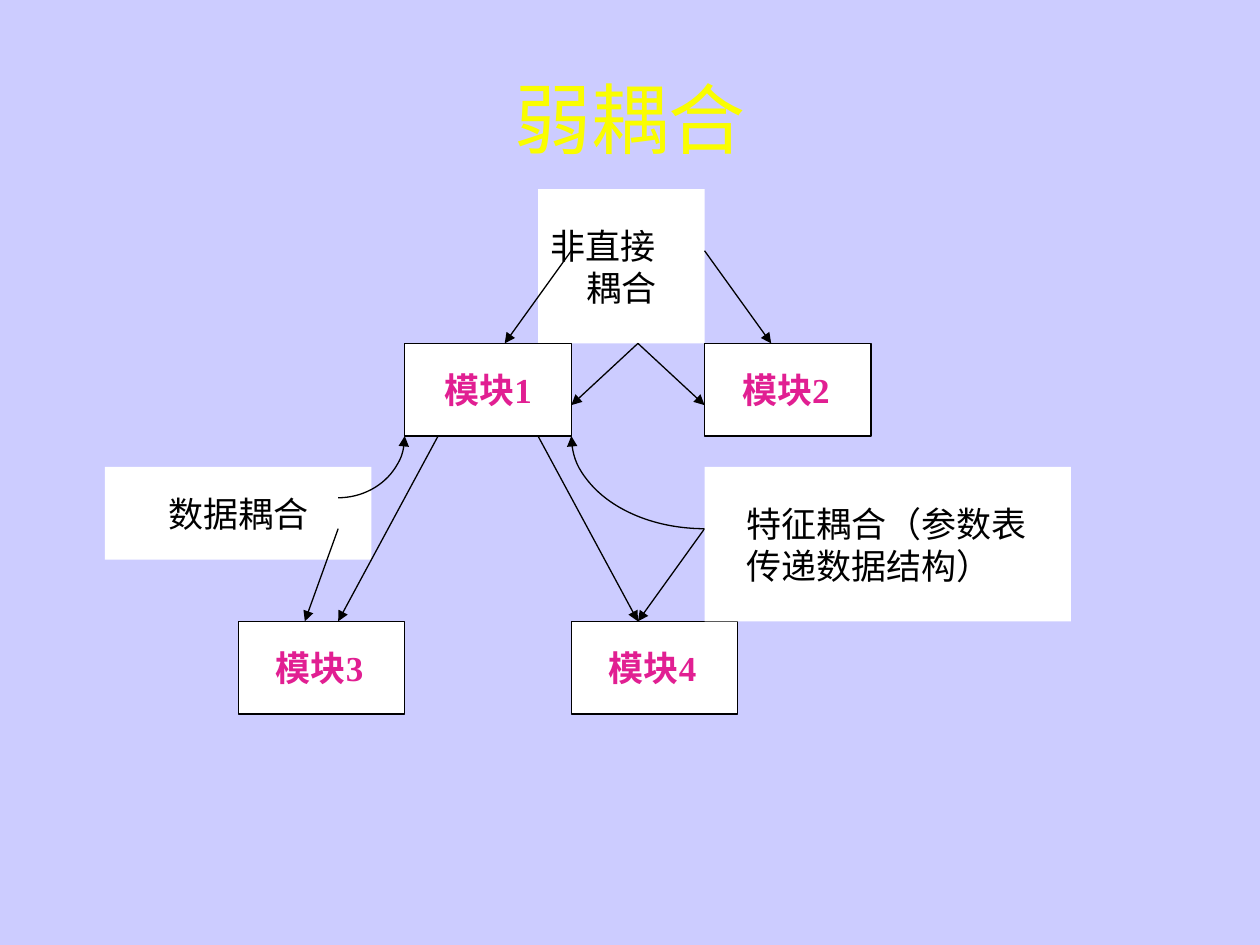
from dataclasses import dataclass

from lxml.etree import SubElement
from pptx import Presentation
from pptx.dml.color import RGBColor
from pptx.enum.shapes import MSO_CONNECTOR as Connector, MSO_SHAPE as Shape
from pptx.enum.text import MSO_ANCHOR as Anchor, PP_ALIGN as Align
from pptx.oxml.ns import qn
from pptx.util import Pt


@dataclass(frozen=True)
class Theme:
    """Colours, fonts and type sizes of the slide."""
    background: RGBColor = RGBColor(0xCC, 0xCC, 0xFF)
    title: RGBColor = RGBColor(0xFA, 0xFD, 0x00)
    module: RGBColor = RGBColor(0xE1, 0x1F, 0x92)
    ink: RGBColor = RGBColor(0, 0, 0)
    paper: RGBColor = RGBColor(0xFF, 0xFF, 0xFF)
    title_font: str = "Noto Sans CJK SC"
    body_font: str = "Times New Roman"
    title_size: int = 44
    body_size: int = 20
    leading: int = 24
    line_width: float = 0.75


THEME = Theme()
COLUMNS, ROWS = 29, 17
MODULES = [
    ("模块2", 18, 5, Align.JUSTIFY, 14.3),
    ("模块1", 9, 5, Align.CENTER, 0),
    ("模块4", 14, 14, Align.JUSTIFY, 14.3),
    ("模块3", 4, 14, Align.JUSTIFY, 14.3),
]
ARROWS = [
    ((14, 2), (12, 5)), ((18, 2), (20, 5)),
    ((16, 5), (14, 7)), ((16, 5), (18, 7)),
    ((10, 8), (7, 14)), ((13, 8), (16, 14)),
    ((7, 11), (6, 14)), ((18, 11), (16, 14)),
]


@dataclass(frozen=True)
class Grid:
    """Even grid of columns and rows inside a box given in points."""
    left: float
    top: float
    width: float
    height: float

    def point(self, column, row):
        """Return the position of a grid crossing."""
        return (Pt(self.left + column * self.width / COLUMNS),
                Pt(self.top + row * self.height / ROWS))

    def area(self, column, row, columns, rows):
        """Return left, top, width and height of a block of cells."""
        return (*self.point(column, row),
                Pt(columns * self.width / COLUMNS), Pt(rows * self.height / ROWS))


def add_title(page, text, left, top, width, height):
    """Place and format the title placeholder."""
    title = page.shapes.title
    title.left, title.top, title.width, title.height = map(Pt, (left, top, width, height))
    frame = title.text_frame
    frame.text = text
    frame.vertical_anchor = Anchor.MIDDLE
    para = frame.paragraphs[0]
    para.alignment = Align.CENTER
    font = para.runs[0].font
    font.size, font.name = Pt(THEME.title_size), THEME.title_font
    font.color.rgb = THEME.title
    SubElement(font._element, qn("a:ea"), typeface=THEME.title_font)


def add_box(page, area, lines, color=THEME.ink, bold=False, outlined=False):
    """Draw a white box with lines of text, alignment and indent."""
    box = page.shapes.add_shape(Shape.RECTANGLE, *area)
    box.shadow.inherit = False
    box.fill.solid()
    box.fill.fore_color.rgb = THEME.paper
    if outlined:
        ink_line(box)
    else:
        box.line.fill.background()
    frame = box.text_frame
    frame.word_wrap = True
    frame.vertical_anchor = Anchor.MIDDLE
    frame.text = "\n".join(text for text, _, _ in lines)
    for para, (_, alignment, indent) in zip(frame.paragraphs, lines):
        para.alignment = alignment
        para.line_spacing = Pt(THEME.leading)
        para._p.get_or_add_pPr().set("marL", str(Pt(indent)))
        font = para.runs[0].font
        font.size, font.name, font.bold = Pt(THEME.body_size), THEME.body_font, bold
        font.color.rgb = color


def ink_line(shape, arrow_end=None):
    """Give a shape a thin dark line, with an arrowhead if one is named."""
    shape.line.width = Pt(THEME.line_width)
    shape.line.color.rgb = THEME.ink
    if arrow_end:
        SubElement(shape.line._get_or_add_ln(), qn(f"a:{arrow_end}"), type="triangle")


def add_arrow(page, start, end):
    """Draw a straight arrow between two points."""
    arrow = page.shapes.add_connector(Connector.STRAIGHT, *start, *end)
    ink_line(arrow, "tailEnd")
    SubElement(arrow._element.spPr, qn("a:effectLst"))


def add_curve(page, area, angles, arrow_end):
    """Draw an arc with an arrowhead between two angles in degrees."""
    curve = page.shapes.add_shape(Shape.ARC, *area)
    curve.shadow.inherit = False
    curve.fill.background()
    for index, angle in enumerate(angles):
        curve.adjustments[index] = angle * 0.6
    ink_line(curve, arrow_end)


def add_diagram(page, left, top, width, height):
    """Draw the module diagram inside the given box."""
    grid = Grid(left, top, width, height)
    add_box(page, grid.area(0, 9, 8, 3), [("数据耦合", Align.CENTER, 0)])
    add_box(page, grid.area(13, 0, 5, 5),
            [("非直接", Align.JUSTIFY, 0), ("耦合", Align.CENTER, 0)])
    for text, column, row, alignment, indent in MODULES:
        add_box(page, grid.area(column, row, 5, 3), [(text, alignment, indent)],
                THEME.module, bold=True, outlined=True)
    for start, end in ARROWS:
        add_arrow(page, grid.point(*start), grid.point(*end))
    add_curve(page, grid.area(5, 6, 4, 4), (0, 90), "headEnd")
    add_curve(page, grid.area(14, 5, 8, 6), (90, 180), "tailEnd")
    add_box(page, grid.area(18, 9, 11, 5),
            [(text, Align.JUSTIFY, 16.6) for text in ("特征耦合（参数表", "传递数据结构）")])


def main():
    """Build and save the slide."""
    deck = Presentation()
    deck.slide_width, deck.slide_height = Pt(720), Pt(540)
    page = deck.slides.add_slide(deck.slide_layouts[5])
    page.background.fill.solid()
    page.background.fill.fore_color.rgb = THEME.background
    add_title(page, "弱耦合", 54, 22.5, 612, 90)
    add_diagram(page, 60, 108, 552, 300)
    deck.save("out.pptx")


if __name__ == "__main__":
    main()
